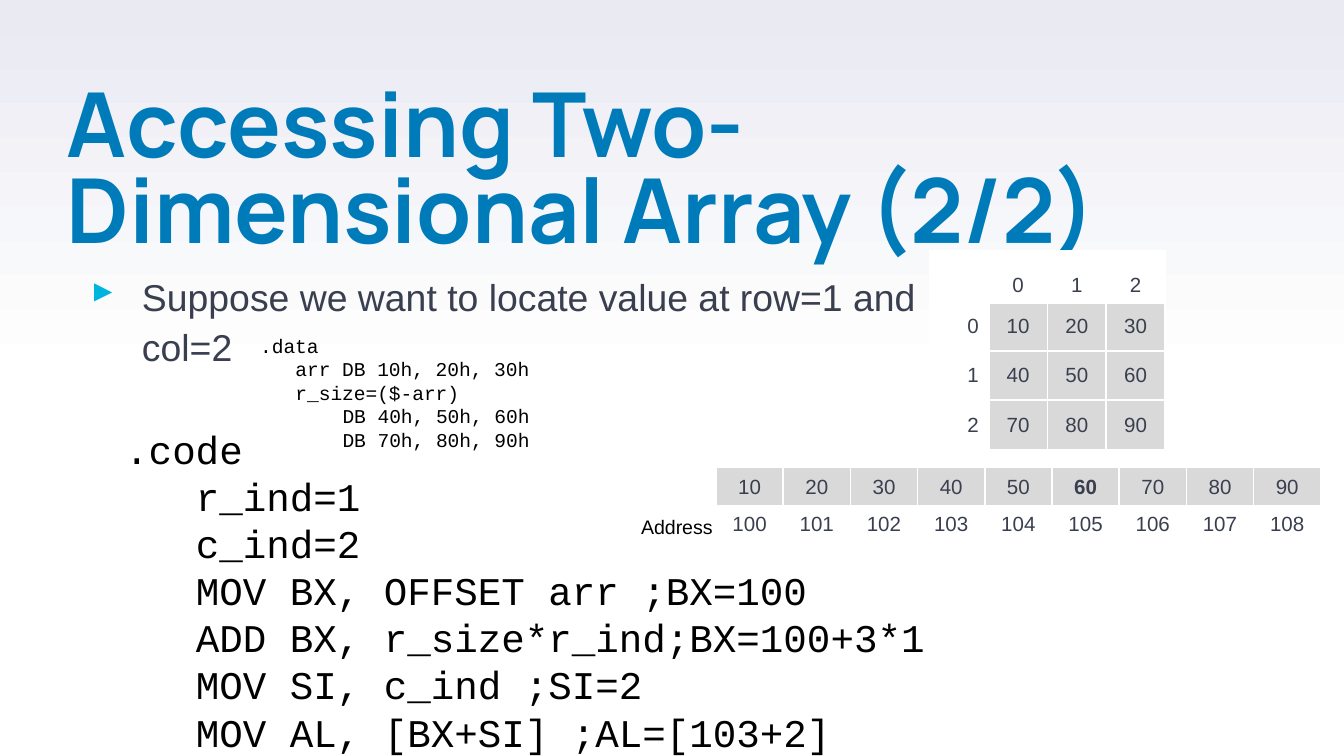
import copy
from dataclasses import dataclass

import lxml.etree
import pptx
import pptx.dml.color
import pptx.enum.dml
import pptx.enum.text
import pptx.oxml.ns
import pptx.util

TITLE = "Accessing Two-Dimensional Array (2/2)"
TASK = "Suppose we want to locate value at row=1 and col=2"
ADDRESS_LABEL = "Address"
DATA_LINES = [
    (0, ".data"),
    (3, "arr DB 10h, 20h, 30h"),
    (3, "r_size=($-arr)"),
    (7, "DB 40h, 50h, 60h"),
    (7, "DB 70h, 80h, 90h"),
]
CODE_LINES = [
    (0, ".code"),
    (3, "r_ind=1"),
    (3, "c_ind=2"),
    (3, "MOV BX, OFFSET arr ;BX=100"),
    (3, "ADD BX, r_size*r_ind;BX=100+3*1"),
    (3, "MOV SI, c_ind ;SI=2"),
    (3, "MOV AL, [BX+SI] ;AL=[103+2]"),
]
VALUES = [10, 20, 30, 40, 50, 60, 70, 80, 90]
LOCATED = 60
FIRST_ADDRESS = 100
SIDE = 3


@dataclass(frozen=True)
class Theme:
    heading: str = "007BB9"
    ink: str = "3A3F50"
    black: str = "000000"
    white: str = "FFFFFF"
    sky: str = "E9EAF2"
    bullet: str = "00B5DD"
    filled: str = "D9D9D9"
    title_size: float = 48
    body_size: float = 20
    code_size: float = 21
    small_size: float = 10.5
    cell_size: float = 11
    title_face: str = "Manrope"
    face: str = "Arial"
    mono: str = "Courier New"


THEME = Theme()
SCALE = 914400 / 134.4
MONO_ADVANCE = 0.6
ALIGN = pptx.enum.text.PP_ALIGN
ANCHOR = pptx.enum.text.MSO_ANCHOR


def px(length):
    return pptx.util.Emu(round(length * SCALE))


def rgb(value):
    return pptx.dml.color.RGBColor.from_string(value)


def add_xml(parent, tag, **attributes):
    return lxml.etree.SubElement(parent, pptx.oxml.ns.qn(tag), attributes)


def write(paragraph, text, *, size, color, face=THEME.face, bold=False,
          align=ALIGN.LEFT, spacing=None, before=None, indent=0, hanging=0, bullet=None):
    paragraph.alignment = align
    paragraph.line_spacing = spacing
    paragraph.space_before = before
    properties = paragraph._p.get_or_add_pPr()
    properties.set("marL", str(int(indent)))
    properties.set("indent", str(-int(hanging)))
    if bullet:
        add_xml(add_xml(properties, "a:buClr"), "a:srgbClr", val=THEME.bullet)
        add_xml(properties, "a:buChar", char=bullet)
    run = paragraph.add_run()
    run.text = text
    run.font.name = face
    run.font.size = pptx.util.Pt(size)
    run.font.bold = bold
    run.font.color.rgb = rgb(color)


def add_frame(slide, box, fixed):
    frame = slide.shapes.add_textbox(*map(px, box)).text_frame
    frame.word_wrap = fixed
    if fixed:
        frame.margin_left = frame.margin_top = frame.margin_right = frame.margin_bottom = 0
    else:
        frame.auto_size = pptx.enum.text.MSO_AUTO_SIZE.SHAPE_TO_FIT_TEXT
    return frame


def add_code(slide, box, lines, size):
    frame = add_frame(slide, box, fixed=False)
    for number, (columns, line) in enumerate(lines):
        paragraph = frame.add_paragraph() if number else frame.paragraphs[0]
        write(paragraph, line, size=size, color=THEME.black, face=THEME.mono,
              indent=pptx.util.Pt(columns * size * MONO_ADVANCE))


def set_borders(cell, bottom):
    properties = cell._tc.get_or_add_tcPr()
    widths = {"a:lnL": 1, "a:lnR": 1, "a:lnT": 1, "a:lnB": bottom}
    for position, (tag, width) in enumerate(widths.items()):
        line = add_xml(properties, tag, w=str(pptx.util.Pt(width)))
        add_xml(add_xml(line, "a:solidFill"), "a:srgbClr", val=THEME.white)
        properties.insert(position, line)


def add_grid(slide, box, rows, label_anchor, label_column):
    left, top, width, height = box
    table = slide.shapes.add_table(len(rows), len(rows[0]), *map(px, box)).table
    for column in table.columns:
        column.width = px(width / len(rows[0]))
    for row_number, row in enumerate(rows):
        table.rows[row_number].height = px(height / len(rows))
        for column_number, value in enumerate(row):
            cell = table.cell(row_number, column_number)
            is_value = value in VALUES
            is_row_label = label_column and column_number == 0
            cell.fill.solid()
            cell.fill.fore_color.rgb = rgb(THEME.filled if is_value else THEME.white)
            cell.margin_left = cell.margin_right = px(10)
            cell.margin_top = cell.margin_bottom = px(5)
            cell.vertical_anchor = ANCHOR.MIDDLE if is_value or is_row_label else label_anchor
            set_borders(cell, 3 if row_number == 0 else 1)
            write(cell.text_frame.paragraphs[0], str(value),
                  size=THEME.cell_size, color=THEME.ink,
                  bold=value == LOCATED and not label_column,
                  align=ALIGN.RIGHT if is_row_label else ALIGN.CENTER)


def paint_background(slide):
    fill = slide.background.fill
    fill.gradient()
    fill.gradient_angle = 90
    bottom, top = fill.gradient_stops
    bottom.color.rgb, bottom.position = rgb(THEME.white), 0
    top.color.rgb, top.position = rgb(THEME.sky), 1
    stops = slide.element.xpath(".//a:gsLst")[0]
    middle = copy.deepcopy(stops[0])
    middle.set("pos", "50000")
    stops.insert(1, middle)


def main():
    deck = pptx.Presentation()
    deck.slide_width, deck.slide_height = px(1344), px(756)
    slide = deck.slides.add_slide(deck.slide_layouts[6])
    paint_background(slide)

    title = add_frame(slide, (67, 89, 1204, 159), fixed=True)
    write(title.paragraphs[0], TITLE, size=THEME.title_size, color=THEME.heading,
          face=THEME.title_face, bold=True, spacing=0.8)

    add_code(slide, (112, 419, 836, 345), CODE_LINES, THEME.code_size)

    task = add_frame(slide, (75, 270, 907, 499), fixed=True)
    write(task.paragraphs[0], TASK, size=THEME.body_size, color=THEME.ink, spacing=1.1,
          before=pptx.util.Pt(6), indent=px(67), hanging=px(51), bullet="▸")

    addresses = [FIRST_ADDRESS + offset for offset in range(len(VALUES))]
    add_grid(slide, (716, 467, 605, 82), [VALUES, addresses], ANCHOR.TOP, label_column=False)

    label = add_frame(slide, (628, 508, 99, 38), fixed=False)
    write(label.paragraphs[0], ADDRESS_LABEL, size=THEME.small_size, color=THEME.black)

    matrix = [["", *range(SIDE)]]
    matrix += [[row, *VALUES[row * SIDE:(row + 1) * SIDE]] for row in range(SIDE)]
    add_grid(slide, (930, 251, 235, 198), matrix, ANCHOR.BOTTOM, label_column=True)

    add_code(slide, (247, 327, 298, 132), DATA_LINES, THEME.small_size)
    deck.save("out.pptx")


if __name__ == "__main__":
    main()
